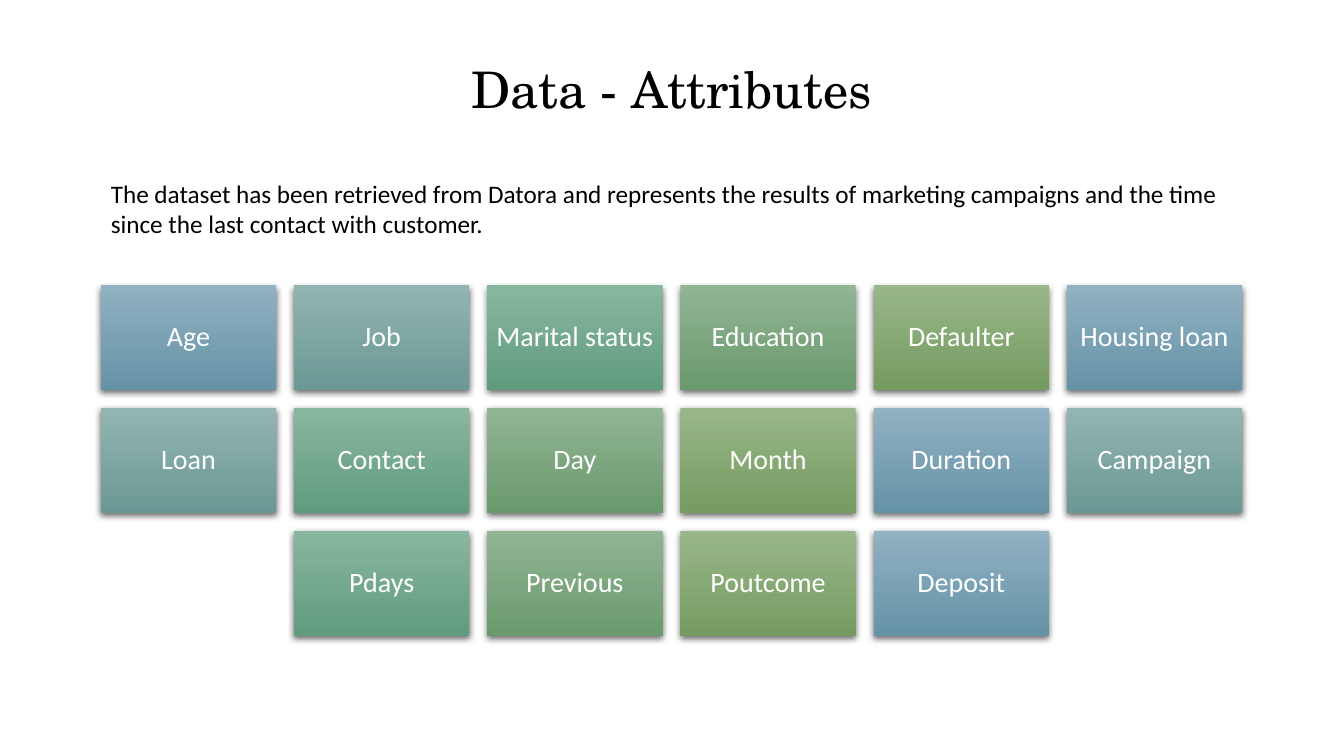
from dataclasses import dataclass

from lxml import etree
from pptx import Presentation
from pptx.dml.color import RGBColor
from pptx.enum.shapes import MSO_SHAPE
from pptx.enum.text import MSO_ANCHOR, PP_ALIGN
from pptx.oxml.ns import qn
from pptx.util import Inches, Pt

RECTANGLE = MSO_SHAPE.RECTANGLE
MIDDLE, TOP = MSO_ANCHOR.MIDDLE, MSO_ANCHOR.TOP
CENTER, LEFT = PP_ALIGN.CENTER, PP_ALIGN.LEFT
TITLE_ONLY = 5


@dataclass(frozen=True)
class Theme:
    title_font: str = "TeX Gyre Schola"
    body_font: str = "Calibri"
    title_size: int = 36
    tile_size: int = 20
    intro_size: int = 18
    dark: str = "000000"
    light: str = "FFFFFF"
    outline: str = "404040"
    # Top and bottom colour of each tile gradient
    gradients: tuple = (
        ("90B2C2", "6692A7"),
        ("92B5B2", "6B9894"),
        ("88B79F", "619B7D"),
        ("91B593", "6A996D"),
        ("98B788", "759B61"),
    )


@dataclass(frozen=True)
class Tile:
    label: str
    column: int
    row: int
    gradient: tuple[str, str]


THEME = Theme()

# Layout in inches
MARGIN, CONTENT_WIDTH = 1, 11.32
COLUMNS = 6
TILE_WIDTH, TILE_HEIGHT = 1.74, 1.04
COLUMN_STEP = (CONTENT_WIDTH - TILE_WIDTH) / (COLUMNS - 1)
GRID_TOP, ROW_STEP = 2.83, 1.22

INTRO = ("The dataset has been retrieved from Datora and represents the results of "
         "marketing campaigns and the time since the last contact with customer.")
ATTRIBUTE_ROWS = (
    ("Age", "Job", "Marital status", "Education", "Defaulter", "Housing loan"),
    ("Loan", "Contact", "Day", "Month", "Duration", "Campaign"),
    ("Pdays", "Previous", "Poutcome", "Deposit"),
)


def write_text(shape, text: str, *, font: str, size: int, color: str, align=LEFT,
               anchor=TOP, spacing: float = 1.0, inset: float | None = None):
    """Fill a shape with one formatted paragraph and return its span."""
    frame = shape.text_frame
    frame.word_wrap = True
    frame.vertical_anchor = anchor
    if inset is not None:
        frame.margin_left = frame.margin_right = Inches(inset)
        frame.margin_top = frame.margin_bottom = Inches(inset)
    para = frame.paragraphs[0]
    para.alignment = align
    para.line_spacing = spacing
    span = para.add_run()
    span.text = text
    span.font.name = font
    span.font.size = Pt(size)
    span.font.color.rgb = RGBColor.from_string(color)
    return span


def add_color(parent, color: str, alpha: int) -> None:
    """Append an RGB colour with its opacity in percent."""
    node = etree.SubElement(parent, qn("a:srgbClr"), val=color)
    etree.SubElement(node, qn("a:alpha"), val=str(alpha * 1000))


def add_shadow(effects) -> None:
    """Append a soft shadow that falls straight down."""
    shadow = etree.SubElement(effects, qn("a:outerShdw"), blurRad=str(Pt(5)),
                              dist=str(Pt(2)), dir="5400000", rotWithShape="0")
    add_color(shadow, THEME.dark, 60)


def draw_title(page, text: str) -> None:
    title = page.shapes.title
    title.left, title.top = Inches(MARGIN), Inches(0.22)
    title.width, title.height = Inches(CONTENT_WIDTH), Inches(1.38)
    span = write_text(title, text, font=THEME.title_font, size=THEME.title_size,
                      color=THEME.dark, align=CENTER, anchor=MIDDLE, spacing=0.9)
    # Faint outline and shadow on the letters
    properties = span.font._element
    outline = etree.Element(qn("a:ln"), w=str(Pt(0.75)))
    add_color(etree.SubElement(outline, qn("a:solidFill")), THEME.outline, 10)
    properties.insert(0, outline)
    effects = etree.Element(qn("a:effectLst"))
    properties.find(qn("a:solidFill")).addnext(effects)
    add_shadow(effects)


def draw_intro(page, text: str) -> None:
    box = page.shapes.add_textbox(Inches(MARGIN), Inches(1.72),
                                  Inches(CONTENT_WIDTH), Inches(0.71))
    write_text(box, text, font=THEME.body_font, size=THEME.intro_size, color=THEME.dark)


def plan_tiles() -> list[Tile]:
    """Centre each row on the grid and cycle through the gradients."""
    tiles = []
    for row, labels in enumerate(ATTRIBUTE_ROWS):
        first_column = (COLUMNS - len(labels)) // 2
        for column, label in enumerate(labels, first_column):
            gradient = THEME.gradients[len(tiles) % len(THEME.gradients)]
            tiles.append(Tile(label, column, row, gradient))
    return tiles


def draw_tile(page, tile: Tile) -> None:
    box = page.shapes.add_shape(
        RECTANGLE,
        Inches(MARGIN + tile.column * COLUMN_STEP),
        Inches(GRID_TOP + tile.row * ROW_STEP),
        Inches(TILE_WIDTH), Inches(TILE_HEIGHT))
    box.line.fill.background()
    box.fill.gradient()
    box.fill.gradient_angle = 270
    for stop, color in zip(box.fill.gradient_stops, tile.gradient):
        stop.color.rgb = RGBColor.from_string(color)
    box.shadow.inherit = False
    add_shadow(box._element.spPr.find(qn("a:effectLst")))
    write_text(box, tile.label, font=THEME.body_font, size=THEME.tile_size,
               color=THEME.light, align=CENTER, anchor=MIDDLE, spacing=0.9, inset=0.08)


def main() -> None:
    deck = Presentation()
    deck.slide_width, deck.slide_height = Inches(13.33), Inches(7.5)
    page = deck.slides.add_slide(deck.slide_layouts[TITLE_ONLY])
    draw_title(page, "Data - Attributes")
    for tile in plan_tiles():
        draw_tile(page, tile)
    draw_intro(page, INTRO)
    deck.save("out.pptx")


if __name__ == "__main__":
    main()
